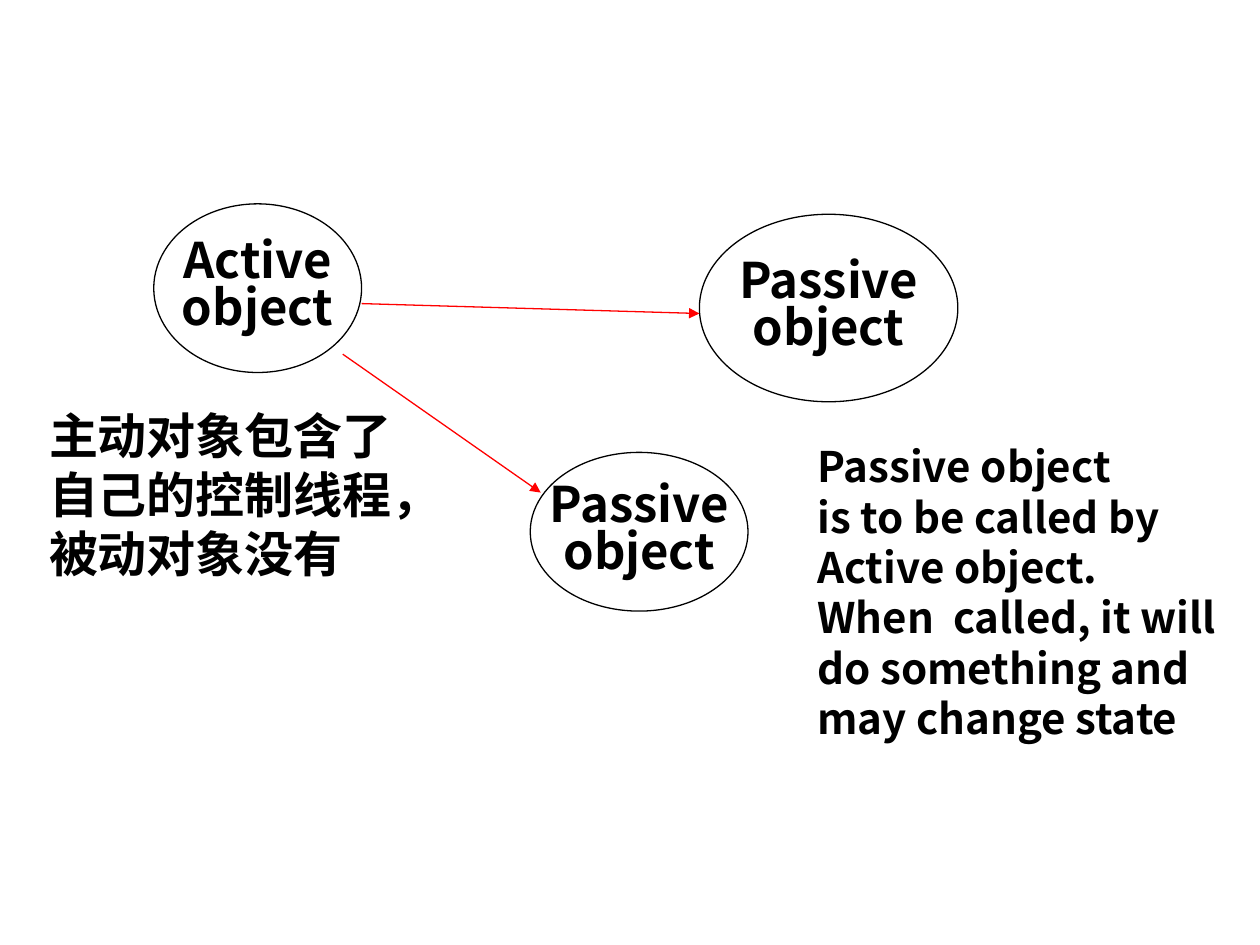
from lxml import etree
from pptx import Presentation
from pptx import util as u
from pptx.dml.color import RGBColor
from pptx.enum import shapes, text
from pptx.oxml.ns import qn

BLACK = RGBColor(0, 0, 0)
WHITE = RGBColor(255, 255, 255)
RED = RGBColor(255, 0, 0)
FONT = "Noto Sans CJK SC"


def write(shape, lines, size=28, align=text.PP_ALIGN.LEFT, gap=None,
          anchor=text.MSO_ANCHOR.TOP, fit=text.MSO_AUTO_SIZE.NONE):
    frame = shape.text_frame
    frame.word_wrap = False
    frame.auto_size = fit
    frame.vertical_anchor = anchor
    for i, line in enumerate(lines):
        para = frame.add_paragraph() if i else frame.paragraphs[0]
        para.alignment = align
        para.line_spacing = gap
        run = para.add_run()
        run.text = line
        font = run.font
        font.name, font.size, font.bold = FONT, u.Pt(size), True
        font.color.rgb = BLACK
        # East Asian glyphs use the same face
        props = run._r.get_or_add_rPr()
        etree.SubElement(props, qn("a:ea"), typeface=FONT)


def node(slide, box, lines):
    oval = slide.shapes.add_shape(shapes.MSO_SHAPE.OVAL, *map(u.Cm, box))
    oval.shadow.inherit = False
    oval.fill.solid()
    oval.fill.fore_color.rgb = WHITE
    oval.line.color.rgb = BLACK
    oval.line.width = u.Pt(0.75)
    write(oval, lines, align=text.PP_ALIGN.CENTER, gap=0.8,
          anchor=text.MSO_ANCHOR.MIDDLE)


def arrow(slide, ends):
    link = slide.shapes.add_connector(shapes.MSO_CONNECTOR.STRAIGHT,
                                      *map(u.Cm, ends))
    link.line.color.rgb = RED
    link.line.width = u.Pt(0.75)
    etree.SubElement(link.line._get_or_add_ln(), qn("a:tailEnd"),
                     type="triangle")
    etree.SubElement(link._element.spPr, qn("a:effectLst"))


def diagram(slide, left, top):
    # Objects: kind, then offset and size
    for kind, x, y, wide, high in (("Active", 0, 0, 4.19, 3.4),
                                   ("Passive", 11, 0.21, 5.21, 3.78),
                                   ("Passive", 7.59, 5.01, 4.39, 3.2)):
        node(slide, (left + x, top + y, wide, high), (kind, "object"))
    # Calls from the active object
    for x1, y1, x2, y2 in ((4.19, 2.01, 11, 2.21),
                           (3.81, 3.03, 7.8, 5.82)):
        arrow(slide, (left + x1, top + y1, left + x2, top + y2))


def note(slide, box, lines, size):
    area = slide.shapes.add_textbox(*map(u.Cm, box))
    write(area, lines, size=size, fit=text.MSO_AUTO_SIZE.SHAPE_TO_FIT_TEXT)


def main():
    deck = Presentation()
    deck.slide_width, deck.slide_height = u.Cm(25.4), u.Cm(19.05)
    slide = deck.slides.add_slide(deck.slide_layouts[6])
    diagram(slide, 3.1, 4.11)
    # Explanations
    note(slide, (0.74, 8.05, 8.38, 3.81),
         ("主动对象包含了", "自己的控制线程，", "被动对象没有"), 28)
    note(slide, (16.23, 8.76, 8.69, 6.35),
         ("Passive object", "is to be called by", "Active object.",
          "When  called, it will", "do something and", "may change state"),
         24)
    deck.save("out.pptx")


if __name__ == "__main__":
    main()
